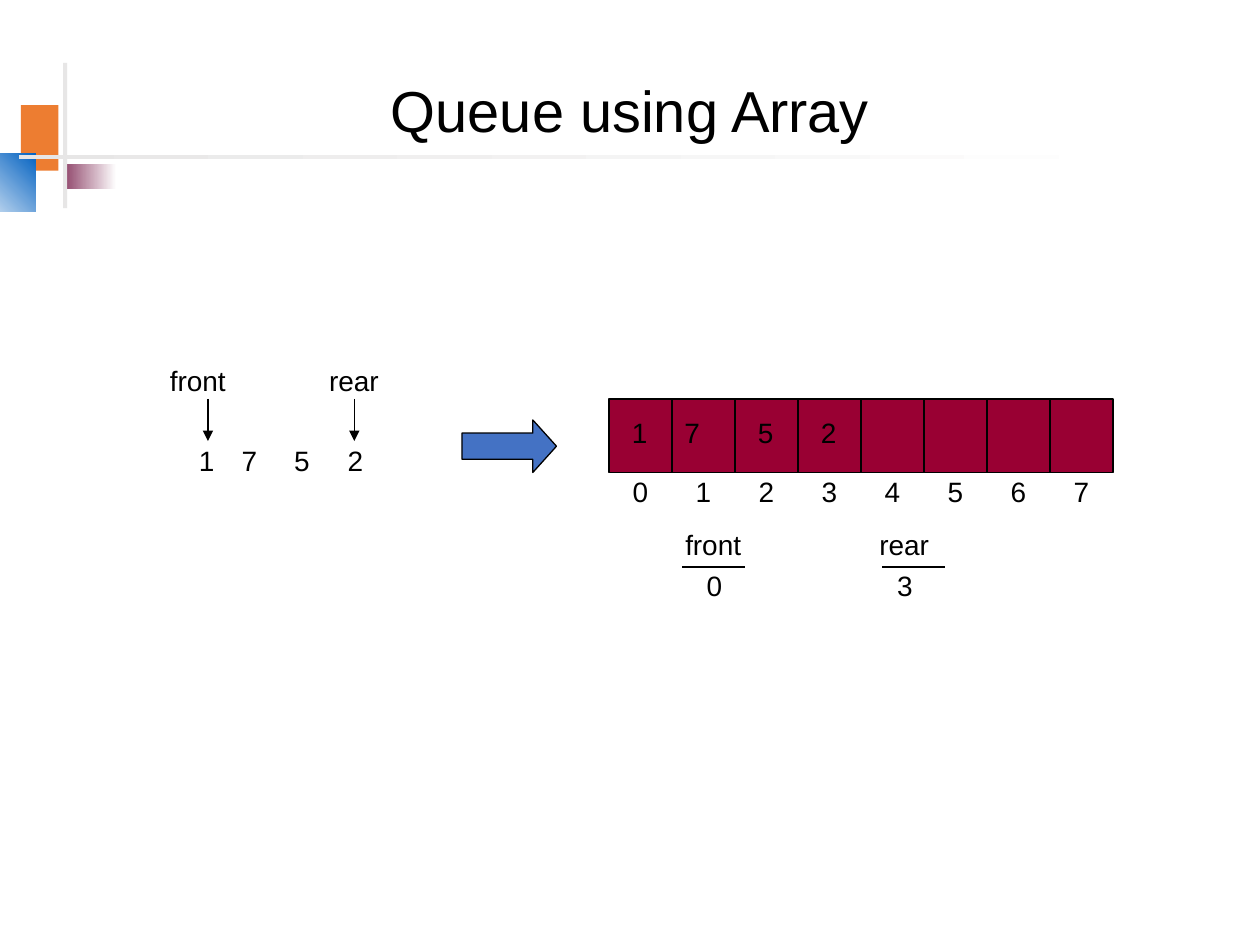
from lxml import etree
from pptx import Presentation
from pptx import util as u
from pptx.dml.color import RGBColor
from pptx.enum import shapes, text
from pptx.oxml.ns import qn


class Theme:
    font = "Arial"
    title_size, body_size = u.Pt(33), u.Pt(16)
    line_width = u.Pt(0.75)
    ink, white, grey = "000000", "FFFFFF", "E7E6E6"
    orange, plum, blue = "ED7D31", "954F72", "0563C1"
    arrow, array = "4472C4", "990033"


# Content: (text, left)
TITLE = "Queue using Array"
QUEUE = [("1", 106.5), ("7", 131), ("5", 161), ("2", 191.5)]
QUEUE_ENDS = [("front", 90, 118.8), ("rear", 181, 202.5)]  # label left, arrow x
STORED = [("1", 354), ("7", 384), ("5", 426), ("2", 462)]
CELL_COUNT = 8
# Label, label left, value, value left, rule left
POINTERS = [("front", 384.5, "0", 396.7, 390), ("rear", 495.4, "3", 505.5, 504)]
# Left, top, width, height, colours from start to end, gradient angle
ORNAMENTS = [
    (12, 60, 21.5, 37.5, [Theme.orange], 0),
    (38, 93.5, 28.5, 14.5, [Theme.plum, Theme.white], 0),
    (-24, 87.5, 44.5, 33.5, [Theme.white, Theme.blue], 45),
    (36, 36, 2.4, 83, [Theme.grey], 0),
    (11, 88.5, 648, 2.5, [Theme.grey, Theme.white], 0),
]

# Geometry
TEXT_WIDTHS = {"front": 48, "rear": 48}
DIGIT_WIDTH, TEXT_HEIGHT = 24, 26.6
ARRAY_LEFT, ARRAY_TOP, CELL, ARRAY_HEIGHT = 348, 228, 36, 42
ARRAY_BOTTOM = ARRAY_TOP + ARRAY_HEIGHT
RULE_TOP = 324


def color(value):
    return RGBColor.from_string(value)


def add_shape(page, kind, left, top, width, height, colors, angle=0, outlined=False):
    shape = page.shapes.add_shape(kind, u.Pt(left), u.Pt(top), u.Pt(width), u.Pt(height))
    shape.shadow.inherit = False
    if len(colors) == 1:
        shape.fill.solid()
        shape.fill.fore_color.rgb = color(colors[0])
    else:
        shape.fill.gradient()
        shape.fill.gradient_angle = angle
        for stop, value in zip(shape.fill.gradient_stops, colors):
            stop.color.rgb = color(value)
    if outlined:
        shape.line.color.rgb = color(Theme.ink)
        shape.line.width = Theme.line_width
    else:
        shape.line.fill.background()
    return shape


def add_line(page, x1, y1, x2, y2, arrow=False):
    line = page.shapes.add_connector(
        shapes.MSO_CONNECTOR.STRAIGHT, u.Pt(x1), u.Pt(y1), u.Pt(x2), u.Pt(y2))
    line.line.color.rgb = color(Theme.ink)
    line.line.width = Theme.line_width
    properties = line.line._get_or_add_ln()
    if arrow:
        etree.SubElement(properties, qn("a:tailEnd"), type="triangle")
    etree.SubElement(properties.getparent(), qn("a:effectLst"))


def set_text(frame, words, size):
    frame.text = words
    para = frame.paragraphs[0]
    para.font.name, para.font.size = Theme.font, size
    para.font.color.rgb = color(Theme.ink)
    return para


def add_text(page, words, left, top):
    width = TEXT_WIDTHS.get(words, DIGIT_WIDTH)
    box = page.shapes.add_textbox(u.Pt(left), u.Pt(top), u.Pt(width), u.Pt(TEXT_HEIGHT))
    box.text_frame.word_wrap = True
    box.text_frame.auto_size = text.MSO_AUTO_SIZE.SHAPE_TO_FIT_TEXT
    set_text(box.text_frame, words, Theme.body_size)


def add_title(page):
    title = page.shapes.title
    title.left, title.top = u.Pt(36), u.Pt(28.8)
    title.width, title.height = u.Pt(648), u.Pt(72)
    title.text_frame.vertical_anchor = text.MSO_ANCHOR.MIDDLE
    para = set_text(title.text_frame, TITLE, Theme.title_size)
    para.alignment = text.PP_ALIGN.CENTER
    para.line_spacing = 0.9


def add_queue(page):
    for words, left in QUEUE:
        add_text(page, words, left, 250)
    for words, left, arrow_x in QUEUE_ENDS:
        add_text(page, words, left, 204)
        add_line(page, arrow_x, 228, arrow_x, 252, arrow=True)


def add_array(page):
    # Cells and their indices
    add_shape(page, shapes.MSO_SHAPE.RECTANGLE, ARRAY_LEFT, ARRAY_TOP,
              CELL * CELL_COUNT, ARRAY_HEIGHT, [Theme.array], outlined=True)
    for index in range(CELL_COUNT):
        left = ARRAY_LEFT + index * CELL
        if index:
            add_line(page, left, ARRAY_TOP, left, ARRAY_BOTTOM)
        add_text(page, str(index), left + 6.4, 267.4)
    # Stored values
    for words, left in STORED:
        add_text(page, words, left, 234)
    # Front and rear positions
    for words, left, value, value_left, rule_left in POINTERS:
        add_text(page, words, left, 297.8)
        add_text(page, value, value_left, 321.6)
        add_line(page, rule_left, RULE_TOP, rule_left + CELL, RULE_TOP)


def main():
    deck = Presentation()
    deck.slide_width, deck.slide_height = u.Pt(720), u.Pt(540)
    page = deck.slides.add_slide(deck.slide_layouts[5])

    # Corner ornaments and title
    for left, top, width, height, colors, angle in ORNAMENTS:
        add_shape(page, shapes.MSO_SHAPE.RECTANGLE, left, top, width, height, colors, angle)
    add_title(page)

    # Queue, arrow, array
    add_queue(page)
    arrow = add_shape(page, shapes.MSO_SHAPE.RIGHT_ARROW, 264, 240, 54, 30,
                      [Theme.arrow], outlined=True)
    arrow.adjustments[1] = 0.45
    add_array(page)

    deck.save("out.pptx")


if __name__ == "__main__":
    main()
